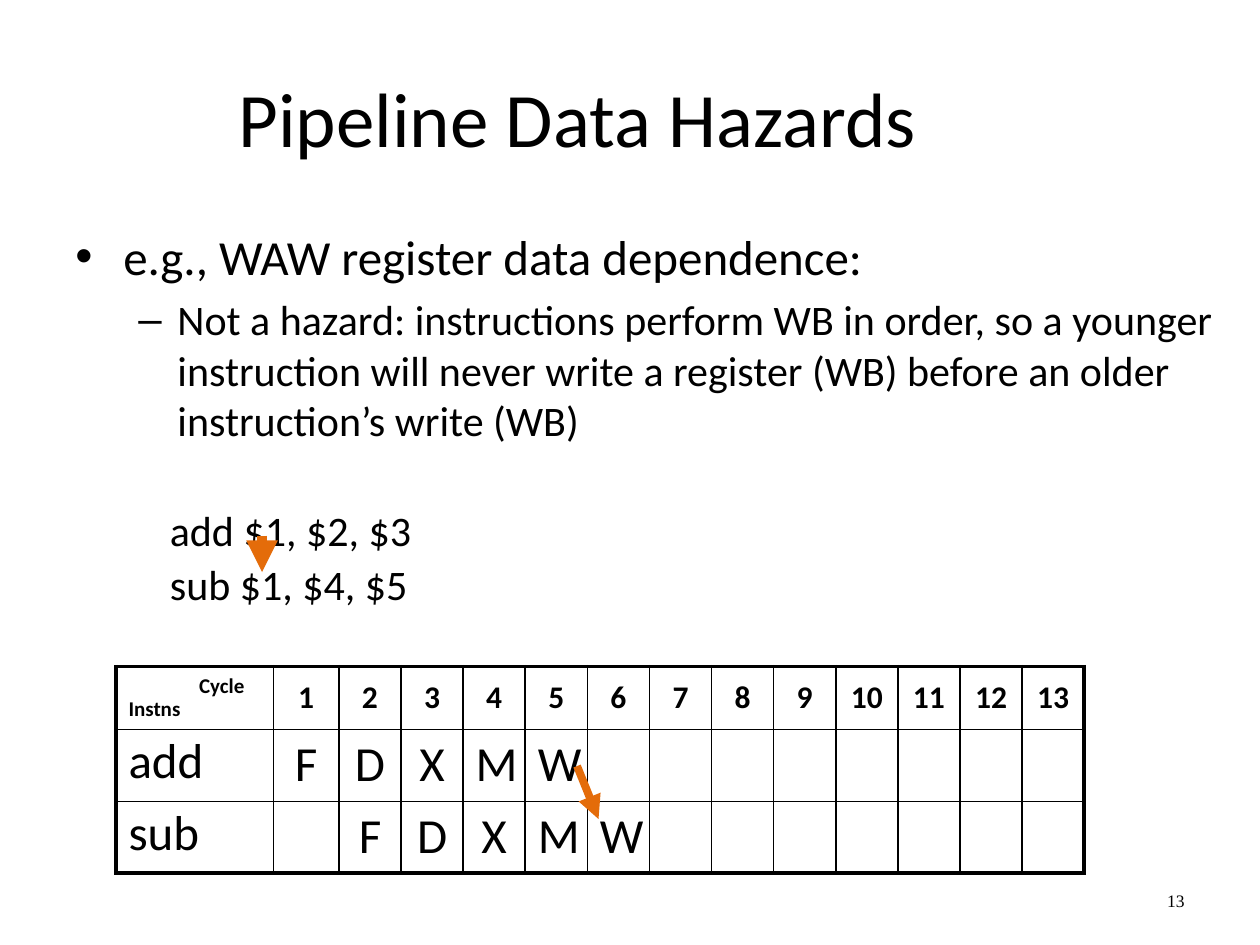
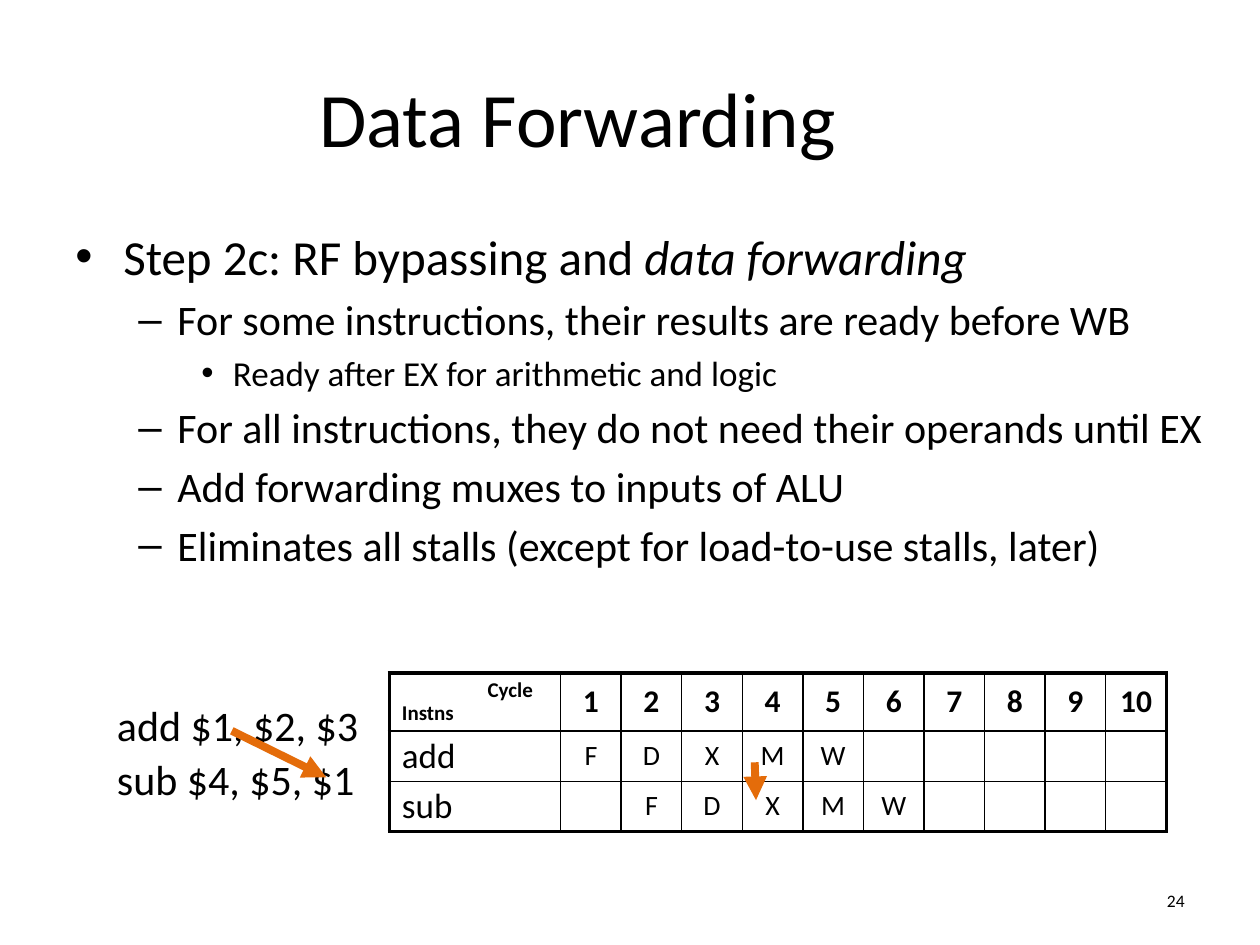
"""Build two slides on pipeline data hazards and data forwarding."""
from pptx import Presentation
from pptx.dml.color import RGBColor
from pptx.enum.shapes import MSO_CONNECTOR as Connector
from pptx.enum.text import MSO_ANCHOR as Anchor, PP_ALIGN as Align
from pptx.oxml.ns import qn
from pptx.util import Inches, Pt
from lxml.etree import SubElement

BLACK = RGBColor(0x00, 0x00, 0x00)
WHITE = RGBColor(0xFF, 0xFF, 0xFF)
ORANGE = RGBColor(0xE4, 0x6C, 0x0A)
FONT = "Calibri"
THICK, THIN = 2.25, 1
STAGES = "FDXMW"

LEVELS = [
    dict(size=28, left=0.38, hanging=0.38, bullet="•"),
    dict(size=24, left=0.81, hanging=0.31, bullet="–"),
    dict(size=20, left=1.25, hanging=0.25, bullet="•"),
]
TITLE_AREA = (0.5, 0.3, 8.17, 1.25)
NUMBER_AREA = (8.33, 6.95, 1.17, 0.4)

SLIDES = [
    dict(
        title="Pipeline Data Hazards",
        number="13", number_font="Times New Roman",
        body_area=(0.5, 1.75, 9.25, 3.33),
        body=[
            (0, "e.g., WAW register data dependence:", ""),
            (1, "Not a hazard: instructions perform WB in order, so a younger "
                "instruction will never write a register (WB) before an older "
                "instruction’s write (WB)", ""),
        ],
        code_area=(0.75, 4, 8.5, 1.29),
        code=["add $1, $2, $3", "sub $1, $4, $5"],
        timing=dict(left=0.92, top=5.29, cycles=13, heights=[0.5, 0.57, 0.57],
                    label_width=1.25, first_width=0.52, cycle_width=0.4933,
                    cycle_indent=0.56, label_size=28, stage_size=28),
        arrows=[((4.58, 6.08), (4.75, 6.5), 4.5),
                ((2.08, 4.25), (2.08, 4.54), 6)],
    ),
    dict(
        title="Data Forwarding",
        number="24", number_font=FONT,
        body_area=(0.5, 1.75, 9.25, 5.6),
        body=[
            (0, "Step 2c: RF bypassing and ", "data forwarding"),
            (1, "For some instructions, their results are ready before WB", ""),
            (2, "Ready after EX for arithmetic and logic", ""),
            (1, "For all instructions, they do not need their operands until EX", ""),
            (1, "Add forwarding muxes to inputs of ALU", ""),
            (1, "Eliminates all stalls (except for load-to-use stalls, later)", ""),
        ],
        code_area=(0.33, 5.55, 2.92, 1.87),
        code=["add $1, $2, $3", "sub $4, $5, $1"],
        timing=dict(left=3.09, top=5.34, cycles=10, heights=[0.46, 0.4, 0.4],
                    label_width=1.36, first_width=0.48, cycle_width=0.481,
                    cycle_indent=0.68, label_size=20, stage_size=16),
        arrows=[((1.84, 5.8), (2.59, 6.17), 4.5),
                ((5.99, 6.05), (6, 6.35), 4.5)],
    ),
]


def write(frame, text, italic_text="", size=24, font=FONT, bold=False, align=Align.LEFT,
          spacing=None, before=0.2, left=0, hanging=0, bullet=None):
    """Write a paragraph into a frame, filling its empty first paragraph first."""
    para = frame.paragraphs[0]
    if para.runs:
        para = frame.add_paragraph()
        para.space_before = Pt(size * before)
    properties = para._p.get_or_add_pPr()
    properties.set("marL", str(Inches(left)))
    properties.set("indent", str(-Inches(hanging)))
    if bullet:
        SubElement(properties, qn("a:buFont")).set("typeface", "Arial")
        SubElement(properties, qn("a:buChar")).set("char", bullet)
    para.alignment = align
    if spacing:
        para.line_spacing = spacing
    for part, italic in ((text, False), (italic_text, True)):
        if part:
            span = para.add_run()
            span.text = part
            span.font.name, span.font.size = font, Pt(size)
            span.font.bold, span.font.italic = bold, italic
            span.font.color.rgb = BLACK


def add_box(page, area, anchor=Anchor.TOP):
    """Add a wrapping text box and return its frame."""
    frame = page.shapes.add_textbox(*map(Inches, area)).text_frame
    frame.word_wrap = True
    frame.vertical_anchor = anchor
    return frame


def add_arrow(page, start, end, width):
    """Add an orange arrow between two points."""
    arrow = page.shapes.add_connector(Connector.STRAIGHT, *map(Inches, start + end))
    arrow.line.color.rgb = ORANGE
    arrow.line.width = Pt(width)
    SubElement(arrow.line._get_or_add_ln(), qn("a:tailEnd")).set("type", "triangle")
    SubElement(arrow._element.spPr, qn("a:effectLst"))


def set_borders(cell, outer_sides):
    """Draw a cell's borders, thick on the sides at the table's edge."""
    properties = cell._tc.get_or_add_tcPr()
    for side, outer in zip("LRTB", outer_sides):
        line = SubElement(properties, qn(f"a:ln{side}"), w=str(Pt(THICK if outer else THIN)))
        fill = SubElement(line, qn("a:solidFill"))
        SubElement(fill, qn("a:srgbClr")).set("val", str(BLACK))


def add_timing(page, instructions, left, top, cycles, heights, label_width, first_width,
               cycle_width, cycle_indent, label_size, stage_size):
    """Add the table of pipeline stages, each instruction one cycle after the last."""
    widths = [label_width, first_width] + [cycle_width] * (cycles - 1)
    rows = [[""] + [str(cycle + 1) for cycle in range(cycles)]]
    for delay, instruction in enumerate(instructions):
        stages = [""] * delay + list(STAGES)
        rows.append([instruction] + stages + [""] * (cycles - len(stages)))

    area = map(Inches, (left, top, sum(widths), sum(heights)))
    table = page.shapes.add_table(len(rows), len(widths), *area).table
    table.first_row = table.horz_banding = False
    for column, width in zip(table.columns, widths):
        column.width = Inches(width)
    for row, height in zip(table.rows, heights):
        row.height = Inches(height)

    for r, row in enumerate(rows):
        for c, text in enumerate(row):
            cell = table.cell(r, c)
            set_borders(cell, (c == 0, c == cycles, r == 0, r == len(rows) - 1))
            cell.fill.solid()
            cell.fill.fore_color.rgb = WHITE
            is_label = r > 0 and c == 0
            cell.vertical_anchor = Anchor.TOP if is_label else Anchor.MIDDLE
            frame = cell.text_frame
            if r == c == 0:
                heading = dict(size=12, bold=True, spacing=0.9, before=0)
                write(frame, "Cycle", left=cycle_indent, **heading)
                write(frame, "Instns", **heading)
            elif is_label:
                write(frame, text, size=label_size, spacing=0.9)
            elif text:
                write(frame, text, size=stage_size if r else 18, bold=r == 0,
                      align=Align.CENTER, spacing=0.9)


def add_page(deck, content):
    """Add one slide with title, bullets, code, timing table, arrows and number."""
    page = deck.slides.add_slide(deck.slide_layouts[6])
    write(add_box(page, TITLE_AREA, Anchor.MIDDLE), content["title"],
          size=44, align=Align.CENTER)
    body = add_box(page, content["body_area"])
    for level, text, italic_text in content["body"]:
        write(body, text, italic_text, **LEVELS[level])
    code = add_box(page, content["code_area"])
    for line in content["code"]:
        write(code, line, left=0.5, spacing=0.9)
    instructions = [line.split()[0] for line in content["code"]]
    add_timing(page, instructions, **content["timing"])
    for arrow in content["arrows"]:
        add_arrow(page, *arrow)
    write(add_box(page, NUMBER_AREA, Anchor.MIDDLE), content["number"],
          size=10, font=content["number_font"], align=Align.RIGHT)


def main():
    """Build and save the deck."""
    deck = Presentation()
    deck.slide_width, deck.slide_height = Inches(10), Inches(7.5)
    for content in SLIDES:
        add_page(deck, content)
    deck.save("out.pptx")


if __name__ == "__main__":
    main()
